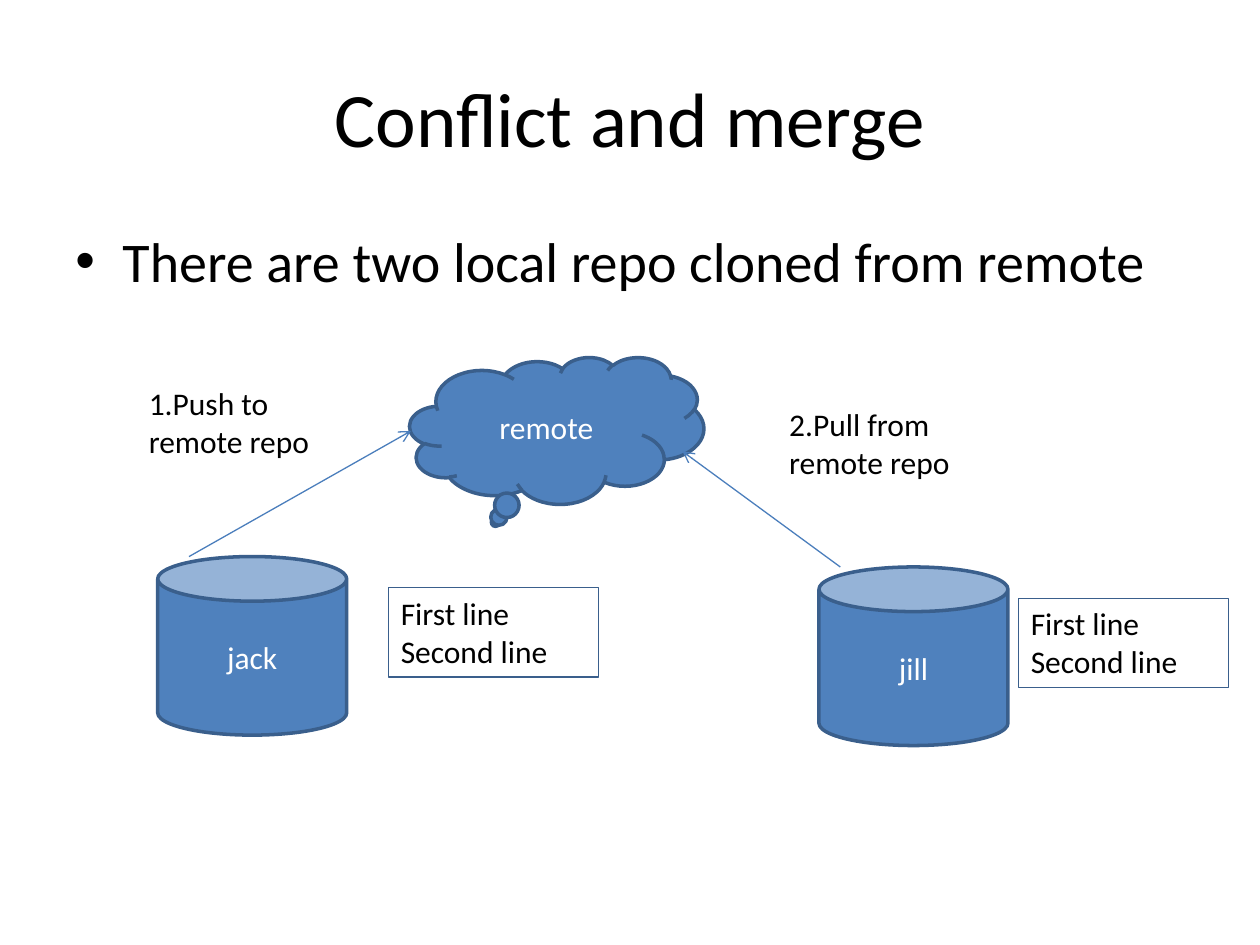
from dataclasses import dataclass

from lxml import etree
from pptx import Presentation
from pptx.dml.color import RGBColor
from pptx.enum import shapes, text
from pptx.oxml import ns
from pptx.util import Cm, Pt


@dataclass(frozen=True)
class Theme:
    font: str = "Calibri"
    ink: str = "000000"
    light: str = "FFFFFF"
    fill: str = "4F81BD"
    outline: str = "3A5F8C"
    arrow: str = "4B7EBC"
    title_size: float = 44
    bullet_size: float = 32
    label_size: float = 18
    thick: float = 2
    thin: float = 0.75


THEME = Theme()

HEADING = "Conflict and merge"
BULLET = "There are two local repo cloned from remote"
REMOTE = "remote"
FILE_LINES = "First line\nSecond line"
REPOS = [
    dict(name="jack", at=(3.18, 11.22), file_dx=4.65, arrow_dx=0.63,
         arrow_end=(8.28, 8.69), step="1.Push to remote repo", step_at=(2.75, 7.62)),
    dict(name="jill", at=(16.51, 11.43), file_dx=4.02, arrow_dx=0.43,
         arrow_end=(13.76, 9.1), step="2.Pull from remote repo", step_at=(15.66, 8.05)),
]

HEADING_BOX = (1.27, 0.76, 22.86, 3.18)
BULLET_BOX = (1.27, 4.45, 22.86, 2.34)
REMOTE_BOX = (8.26, 7.2, 5.93, 2.96)
REPO_SIZE = (3.81, 3.6)
FILE_SIZE = (4.23, 1.8)
STEP_SIZE = (4.02, 1.8)
FILE_DY = 0.63
BULLET_INDENT = 0.95

deck = Presentation()
deck.slide_width, deck.slide_height = Cm(25.4), Cm(19.05)
slide = deck.slides.add_slide(deck.slide_layouts[6])


def rgb(value):
    return RGBColor.from_string(value)


def lengths(values):
    return [Cm(value) for value in values]


def write(holder, words, size, color=THEME.ink, centred=False):
    frame = holder.text_frame
    frame.text = words
    frame.word_wrap = True
    frame.vertical_anchor = text.MSO_ANCHOR.MIDDLE if centred else text.MSO_ANCHOR.TOP
    for paragraph in frame.paragraphs:
        paragraph.alignment = text.PP_ALIGN.CENTER if centred else text.PP_ALIGN.LEFT
        for run in paragraph.runs:
            run.font.name = THEME.font
            run.font.size = Pt(size)
            run.font.color.rgb = rgb(color)
    return frame


def add_words(words, box, size=THEME.label_size, centred=False):
    return write(slide.shapes.add_textbox(*lengths(box)), words, size, centred=centred)


def add_outlined(kind, words, box, filled=True):
    outlined = slide.shapes.add_shape(kind, *lengths(box))
    outlined.shadow.inherit = False
    if filled:
        outlined.fill.solid()
        outlined.fill.fore_color.rgb = rgb(THEME.fill)
    else:
        outlined.fill.background()
    outlined.line.color.rgb = rgb(THEME.outline)
    outlined.line.width = Pt(THEME.thick if filled else THEME.thin)
    write(outlined, words, THEME.label_size, THEME.light if filled else THEME.ink, filled)


def add_arrow(start, end):
    arrow = slide.shapes.add_connector(shapes.MSO_CONNECTOR.STRAIGHT, *lengths(start + end))
    arrow.line.color.rgb = rgb(THEME.arrow)
    arrow.line.width = Pt(THEME.thin)
    etree.SubElement(arrow.line._get_or_add_ln(), ns.qn("a:tailEnd"), type="arrow")
    etree.SubElement(arrow._element.spPr, ns.qn("a:effectLst"))


def add_bullet(paragraph):
    paragraph.space_before = Pt(THEME.bullet_size * 0.2)
    properties = paragraph._p.get_or_add_pPr()
    properties.set("marL", str(Cm(BULLET_INDENT)))
    properties.set("indent", str(-Cm(BULLET_INDENT)))
    etree.SubElement(properties, ns.qn("a:buFont"), typeface="Arial")
    etree.SubElement(properties, ns.qn("a:buChar"), char="•")


add_words(HEADING, HEADING_BOX, THEME.title_size, centred=True)
add_bullet(add_words(BULLET, BULLET_BOX, THEME.bullet_size).paragraphs[0])
add_outlined(shapes.MSO_SHAPE.CLOUD_CALLOUT, REMOTE, REMOTE_BOX)

for repo in REPOS:
    left, top = repo["at"]
    add_outlined(shapes.MSO_SHAPE.CAN, repo["name"], repo["at"] + REPO_SIZE)
    add_outlined(shapes.MSO_SHAPE.RECTANGLE, FILE_LINES,
                 (left + repo["file_dx"], top + FILE_DY) + FILE_SIZE, filled=False)
    add_arrow((left + repo["arrow_dx"], top), repo["arrow_end"])
    add_words(repo["step"], repo["step_at"] + STEP_SIZE)

deck.save("out.pptx")
